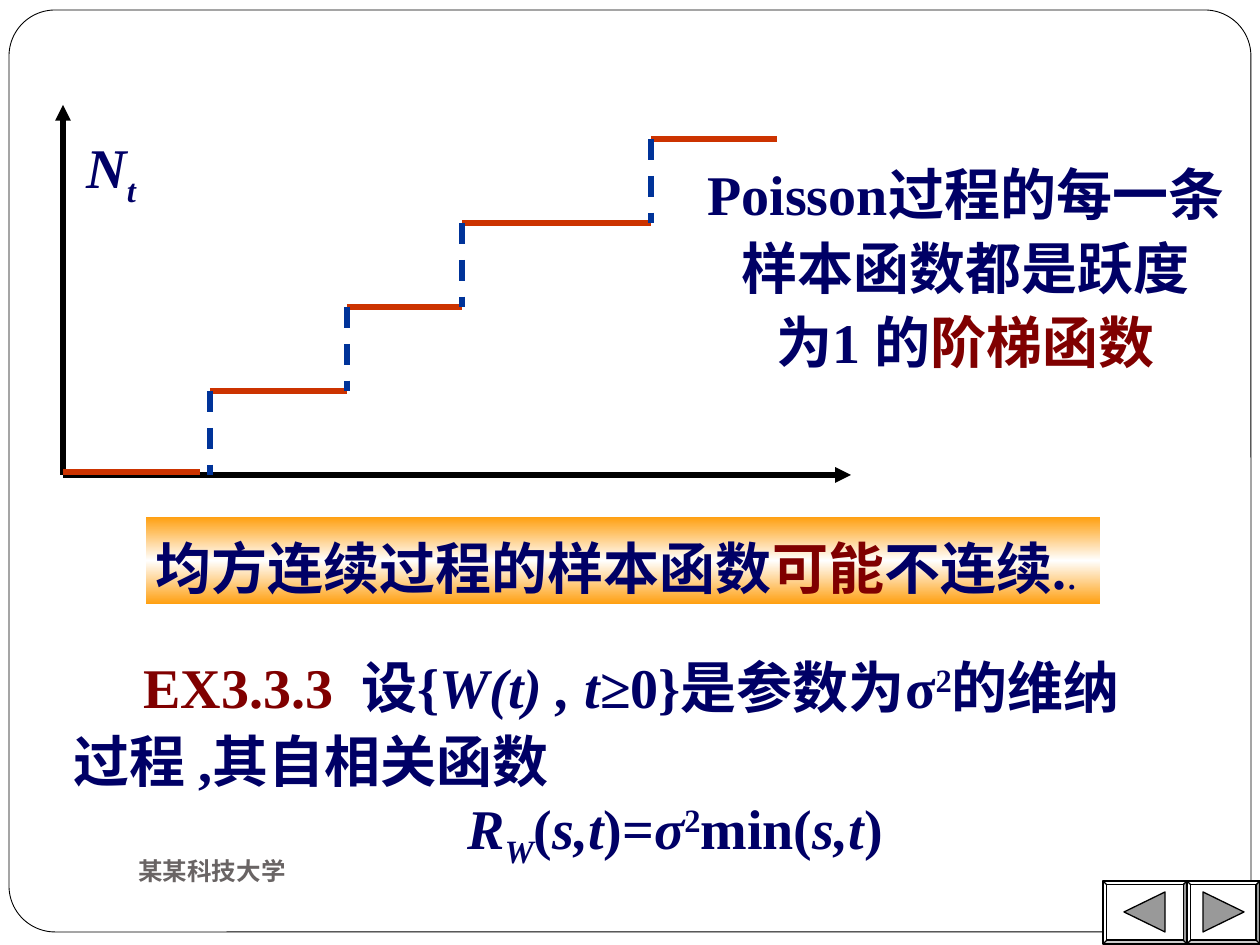
from copy import deepcopy

from lxml import etree
from pptx import Presentation
from pptx.dml.color import RGBColor
from pptx.enum.dml import MSO_LINE
from pptx.enum.shapes import MSO_CONNECTOR, MSO_SHAPE
from pptx.enum.text import MSO_ANCHOR, MSO_AUTO_SIZE, PP_ALIGN
from pptx.oxml.ns import qn
from pptx.util import Pt

STRAIGHT = MSO_CONNECTOR.STRAIGHT
DASH = MSO_LINE.DASH
CENTER = PP_ALIGN.CENTER
LEFT = PP_ALIGN.LEFT
FIT = MSO_AUTO_SIZE.SHAPE_TO_FIT_TEXT
TOP = MSO_ANCHOR.TOP

PX = 914400 / 126
THEME = {
    "navy": RGBColor(0x00, 0x00, 0x66),
    "maroon": RGBColor(0x80, 0x00, 0x00),
    "footer": RGBColor(0x69, 0x64, 0x64),
    "step": RGBColor(0xCC, 0x33, 0x00),
    "jump": RGBColor(0x00, 0x33, 0x99),
    "orange": RGBColor(0xFF, 0x99, 0x00),
    "arrow": RGBColor(0x99, 0x99, 0x99),
    "white": RGBColor(0xFF, 0xFF, 0xFF),
    "black": RGBColor(0x00, 0x00, 0x00),
    "latin": "Times New Roman",
    "chinese": "Noto Sans CJK SC",
    "body": 32,
    "small": 24,
    "label": 14,
}

presentation = Presentation()
presentation.slide_width = round(1260 * PX)
presentation.slide_height = round(945 * PX)
slide = presentation.slides.add_slide(presentation.slide_layouts[6])
shapes = slide.shapes


def write(shape, paragraphs, wrap=True, spacing=None, align=LEFT):
    """Fill a shape with paragraphs of (text, options) runs."""
    frame = shape.text_frame
    frame.word_wrap = wrap
    frame.auto_size = FIT
    frame.vertical_anchor = TOP
    for index, runs in enumerate(paragraphs):
        paragraph = frame.add_paragraph() if index else frame.paragraphs[0]
        paragraph.alignment = align
        paragraph.line_spacing = spacing
        for text, options in runs:
            run = paragraph.add_run()
            run.text = text
            font = run.font
            font.size = Pt(THEME[options.get("size", "body")])
            font.bold = options.get("bold", True)
            font.italic = options.get("italic", False)
            font.color.rgb = THEME[options.get("color", "navy")]
            font.name = THEME[options.get("font", "latin")]
            properties = run._r.get_or_add_rPr()
            etree.SubElement(properties, qn("a:ea"), typeface=THEME["chinese"])
            if "baseline" in options:
                properties.set("baseline", str(options["baseline"] * 1000))


def draw_line(x1, y1, x2, y2, color, dash=None, arrow=False):
    connector = shapes.add_connector(
        STRAIGHT, *(round(value * PX) for value in (x1, y1, x2, y2)))
    connector.line.color.rgb = THEME[color]
    connector.line.width = Pt(3)
    if dash:
        connector.line.dash_style = dash
    if arrow:
        etree.SubElement(connector.line._get_or_add_ln(), qn("a:tailEnd"), type="triangle")
    etree.SubElement(connector._element.spPr, qn("a:effectLst"))


# Slide frame
frame_shape = shapes.add_shape(
    MSO_SHAPE.ROUNDED_RECTANGLE, *(round(value * PX) for value in (9, 10, 1242, 922)))
frame_shape.adjustments[0] = 0.05
frame_shape.shadow.inherit = False
frame_shape.fill.solid()
frame_shape.fill.fore_color.rgb = THEME["white"]
frame_shape.line.color.rgb = THEME["black"]
frame_shape.line.width = Pt(0.5)

# Navigation buttons: left, width, then the tip and base of the triangle
for left, width, tip, base in [(1187, 73, 1244, 1203), (1103, 84, 1124, 1165)]:
    button = shapes.add_shape(
        MSO_SHAPE.BEVEL, *(round(value * PX) for value in (left, 881, width, 63)))
    button.adjustments[0] = 0.06
    builder = shapes.build_freeform(tip, 912, scale=PX)
    builder.add_line_segments([(base, 892), (base, 932)], close=True)
    triangle = builder.convert_to_shape()
    for shape, color in [(button, "white"), (triangle, "arrow")]:
        shape.shadow.inherit = False
        shape.fill.solid()
        shape.fill.fore_color.rgb = THEME[color]
        shape.line.color.rgb = THEME["black"]
        shape.line.width = Pt(0.75)

# Axes and the step function
ORIGIN_X, ORIGIN_Y, RISE = 63, 475, 84
draw_line(ORIGIN_X, ORIGIN_Y, 851, ORIGIN_Y, "black", arrow=True)
draw_line(ORIGIN_X, ORIGIN_Y, ORIGIN_X, 105, "black", arrow=True)
jumps = [210, 347, 462, 651, 777]
for level, (start, end) in enumerate(zip(jumps, jumps[1:]), 1):
    height = ORIGIN_Y - level * RISE
    draw_line(start, height, end, height, "step")
    draw_line(start, height, start, height + RISE, "jump", dash=DASH)
draw_line(ORIGIN_X, 472, 200, 472, "step")

# Text boxes: place, paragraphs, layout
italic = {"italic": True}
maroon = {"color": "maroon"}
texts = [
    ((126, 850, 546, 63), [[("某某科技大学", {"size": "label", "color": "footer"})]], {}),
    ((74, 126, 90, 89), [[("N", italic), ("t", {"italic": True, "baseline": -25})]], {}),
    ((672, 147, 588, 234),
     [[("Poisson过程的每一条", {})],
      [("样本函数都是跃度", {})],
      [("为1 的", {}), ("阶梯函数", maroon)]],
     {"spacing": 1.1, "align": CENTER}),
    ((455, 787, 460, 89),
     [[("R", italic), ("W", {"italic": True, "baseline": -25}), ("(", {}),
       ("s,t", italic), (")=", {}), ("σ", italic), ("2", {"baseline": 30}),
       ("min(", {}), ("s,t", italic), (")", {})]], {}),
]
for place, paragraphs, layout in texts:
    write(shapes.add_textbox(*(round(value * PX) for value in place)), paragraphs, **layout)

# Conclusion banner
banner = shapes.add_shape(
    MSO_SHAPE.RECTANGLE, *(round(value * PX) for value in (143, 514, 960, 93)))
banner.shadow.inherit = False
banner.line.color.rgb = THEME["white"]
banner.line.width = Pt(3)
banner.fill.gradient()
banner.fill.gradient_angle = 90
for stop in banner.fill.gradient_stops:
    stop.color.rgb = THEME["orange"]
stop_list = banner._element.spPr.find(qn("a:gradFill")).find(qn("a:gsLst"))
stop_list.insert(1, deepcopy(stop_list[0]))
for stop, position, color in zip(
        banner.fill.gradient_stops, (0, 0.5, 1), ("orange", "white", "orange")):
    stop.position = position
    stop.color.rgb = THEME[color]
write(banner,
      [[("均方连续过程的样本函数", {}), ("可能", maroon), ("不连续.", {}),
        (".", {"size": "small", "bold": False})]],
      wrap=False, spacing=1.2)

# Example, with an indented first line
example = shapes.add_textbox(*(round(value * PX) for value in (61, 640, 1115, 171)))
write(example,
      [[("EX3.3.3  ", maroon), ("设", {"font": "chinese"}), ("{", {}),
        ("W(t) , t", italic), ("≥0}是参数为σ", {}), ("2", {"baseline": 30}),
        ("的维纳过程 ,其自相关函数", {})]],
      spacing=1.1)
example.text_frame.paragraphs[0]._p.get_or_add_pPr().set("indent", str(round(70 * PX)))

presentation.save("out.pptx")
